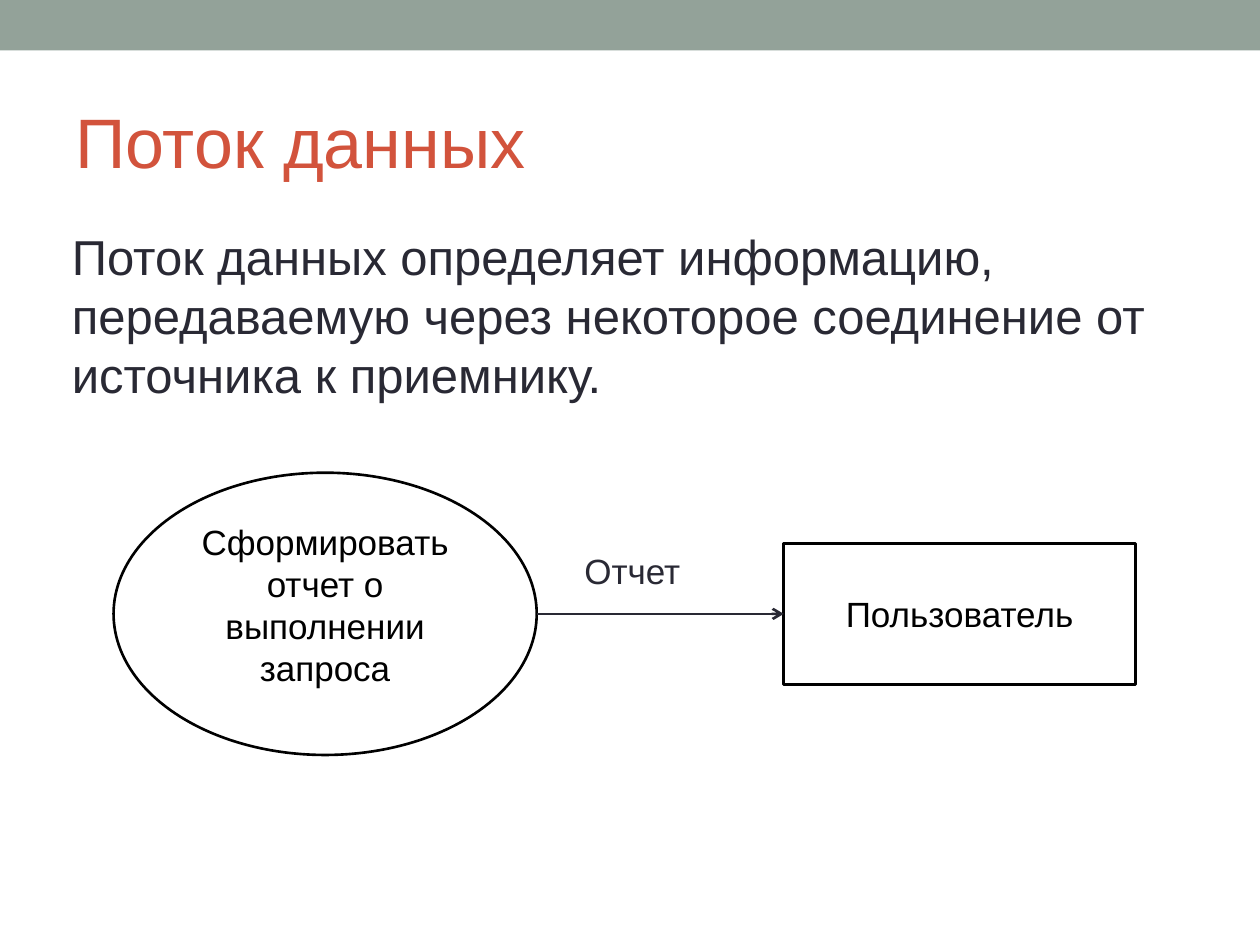
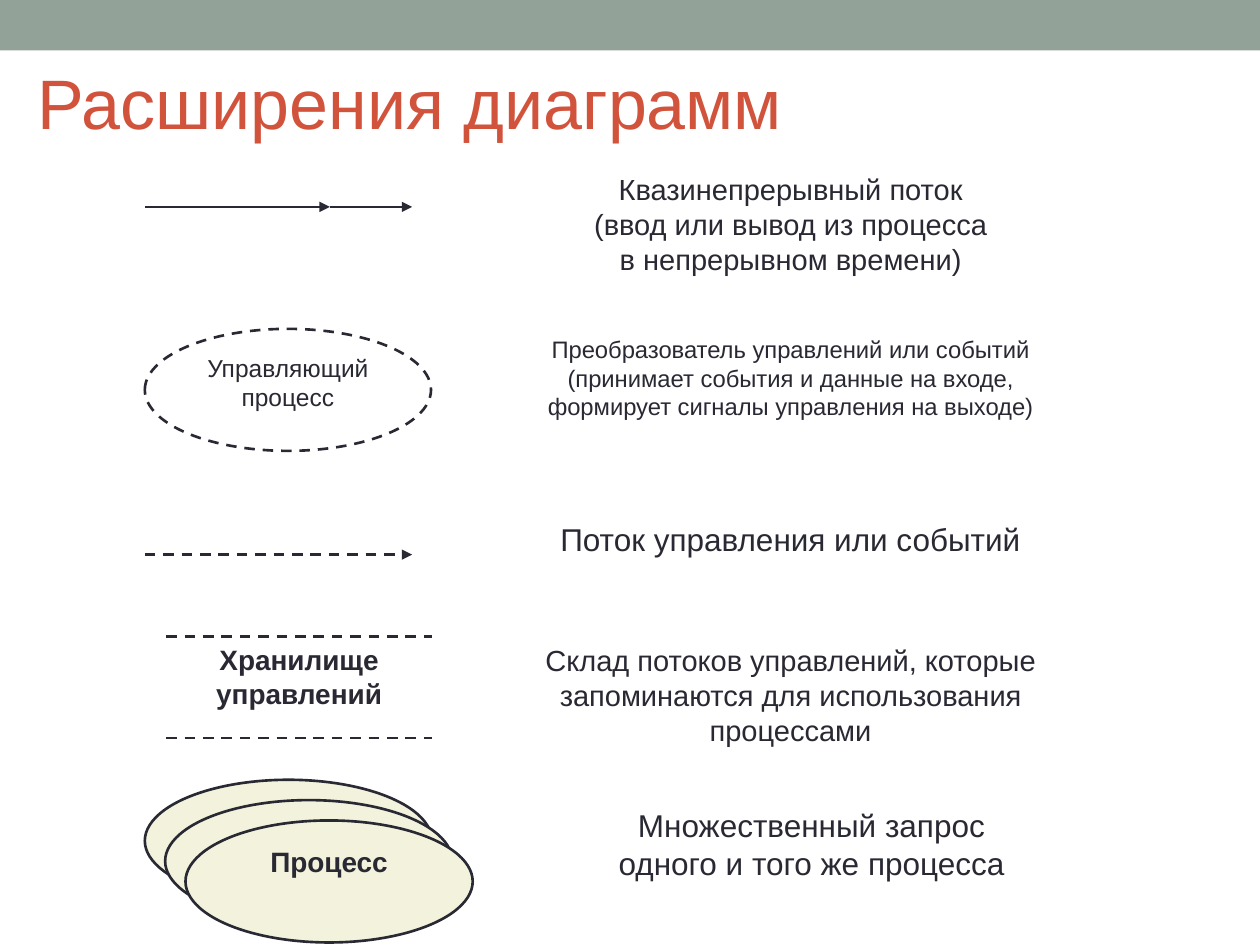
from dataclasses import dataclass

from lxml.etree import SubElement
from pptx import Presentation
from pptx.dml.color import RGBColor
from pptx.enum.dml import MSO_LINE_DASH_STYLE as Dash
from pptx.enum.shapes import MSO_CONNECTOR as Connector, MSO_SHAPE as Preset
from pptx.enum.text import MSO_ANCHOR as Anchor, PP_ALIGN as Align
from pptx.oxml.ns import qn
from pptx.util import Cm, Pt


@dataclass(frozen=True)
class Theme:
    font: str = "Arial"
    band: str = "93A299"
    title: str = "D2533C"
    ink: str = "292934"
    black: str = "000000"
    white: str = "FFFFFF"
    cream: str = "F3F2DC"
    title_size: float = 40
    body_size: float = 28
    diagram_size: float = 20
    large_size: float = 18
    medium_size: float = 16.6
    store_size: float = 16
    process_size: float = 14
    small_size: float = 13.6
    line_width: float = 1.5


@dataclass(frozen=True)
class Box:
    """A rectangle in centimetres."""
    left: float
    top: float
    width: float
    height: float

    def inner(self, left, top, width, height):
        """Return a box whose position is measured from this one's corner."""
        return Box(self.left + left, self.top + top, width, height)

    def lengths(self):
        return [Cm(value) for value in (self.left, self.top, self.width, self.height)]


THEME = Theme()
SLIDE = Box(0, 0, 25.4, 19.05)


def rgb(color):
    return RGBColor.from_string(color)


def write(shape, text, size, color=THEME.ink, align=Align.CENTER,
          anchor=Anchor.TOP, bold=False):
    """Fill a shape with text, one paragraph for each line of the string."""
    frame = shape.text_frame
    frame.word_wrap = True
    frame.vertical_anchor = anchor
    frame.text = text
    for paragraph in frame.paragraphs:
        paragraph.alignment = align
        font = paragraph.font
        font.name, font.size, font.bold = THEME.font, Pt(size), bold
        font.color.rgb = rgb(color)
    return frame


def add_text(slide, box, text, size, **style):
    return write(slide.shapes.add_textbox(*box.lengths()), text, size, **style)


def style_line(line, color, dash):
    line.color.rgb = rgb(color)
    line.width = Pt(THEME.line_width)
    if dash:
        line.dash_style = dash


def add_outline(slide, preset, box, fill=None, line=THEME.ink, dash=None):
    """Add a preset shape; fill or line may be None."""
    shape = slide.shapes.add_shape(preset, *box.lengths())
    shape.shadow.inherit = False
    if fill:
        shape.fill.solid()
        shape.fill.fore_color.rgb = rgb(fill)
    else:
        shape.fill.background()
    if line:
        style_line(shape.line, line, dash)
    else:
        shape.line.fill.background()
    return shape


def add_flow(slide, left, right, y, head=None, dash=None):
    """Add a horizontal line, with an arrowhead of the given type at its right end."""
    flow = slide.shapes.add_connector(
        Connector.STRAIGHT, Cm(left), Cm(y), Cm(right), Cm(y))
    style_line(flow.line, THEME.ink, dash)
    properties = flow._element.spPr
    if head:
        SubElement(properties.find(qn("a:ln")), qn("a:tailEnd"), type=head)
    SubElement(properties, qn("a:effectLst"))


def add_titled_slide(presentation, title, box):
    slide = presentation.slides.add_slide(presentation.slide_layouts[6])
    band = Box(0, 0, SLIDE.width, 1.02)
    add_outline(slide, Preset.RECTANGLE, band, THEME.band, line=None)
    add_text(slide, box, title, THEME.title_size, color=THEME.title,
             align=Align.LEFT, anchor=Anchor.MIDDLE)
    return slide


def add_definition(slide, box, text):
    frame = add_text(slide, box, text, THEME.body_size, align=Align.LEFT)
    frame.margin_left = Cm(0.76)
    frame.paragraphs[0].space_before = Pt(7)


def add_report_flow(slide, box):
    """Draw the process, the receiver and the data flow between them."""
    process = box.inner(0, 0, 8.53, box.height)
    receiver = box.inner(13.51, box.height / 4, 7.09, box.height / 2)
    nodes = (
        (Preset.OVAL, process, "Сформировать отчет о выполнении запроса", Anchor.TOP),
        (Preset.RECTANGLE, receiver, "Пользователь", Anchor.MIDDLE),
    )
    for preset, place, text, anchor in nodes:
        node = add_outline(slide, preset, place, THEME.white, THEME.black)
        write(node, text, THEME.diagram_size, color=THEME.black, anchor=anchor)
    add_flow(slide, process.left + process.width, receiver.left,
             box.top + box.height / 2, "arrow")
    add_text(slide, box.inner(9.24, box.height / 4, 4.27, 2.13), "Отчет",
             THEME.diagram_size, align=Align.LEFT)


def add_continuous_flow(slide, box):
    middle = box.left + 3.73
    add_flow(slide, box.left, middle, box.top, "triangle")
    add_flow(slide, middle, box.left + box.width, box.top, "triangle")


def add_control_process(slide, box):
    process = add_outline(slide, Preset.OVAL, box, dash=Dash.DASH)
    write(process, "Управляющий процесс", THEME.process_size)


def add_control_flow(slide, box):
    add_flow(slide, box.left, box.left + box.width, box.top, "triangle", Dash.DASH)


def add_control_store(slide, box):
    add_text(slide, box.inner(0, 0, box.width, 1.65), "Хранилище управлений",
             THEME.store_size, bold=True)
    for y in (box.top, box.top + box.height):
        add_flow(slide, box.left, box.left + box.width, y, dash=Dash.DASH)


def add_process_stack(slide, box, count=3, step=0.41):
    for index in range(count):
        place = box.inner(index * step, index * step, 5.79, 2.46)
        process = add_outline(slide, Preset.OVAL, place, THEME.cream)
    write(process, "Процесс", THEME.store_size, bold=True)


def add_symbols(slide, box):
    symbols = (
        (add_continuous_flow, (0, 0.84, 5.39, 0)),
        (add_control_process, (0, 3.3, 5.77, 2.46)),
        (add_control_flow, (0, 7.85, 5.39, 0)),
        (add_control_store, (0.43, 9.5, 5.36, 2.05)),
        (add_process_stack, (0, 12.39, 6.61, 3.28)),
    )
    for draw, place in symbols:
        draw(slide, box.inner(*place))


def add_descriptions(slide, box):
    descriptions = (
        (0, 0, "Квазинепрерывный поток\n(ввод или вывод из процесса\n"
               "в непрерывном времени)", THEME.medium_size),
        (0, 3.3, "Преобразователь управлений или событий (принимает события и "
                 "данные на входе, формирует сигналы управления на выходе)",
         THEME.small_size),
        (0, 7.03, "Поток управления или событий", THEME.large_size),
        (0, 9.5, "Склад потоков управлений, которые запоминаются для "
                 "использования процессами", THEME.medium_size),
        (1.25, 12.8, "Множественный запрос одного и того же процесса",
         THEME.large_size),
    )
    for left, top, text, size in descriptions:
        width = box.width - 1.32 * left
        add_text(slide, box.inner(left, top, width, 2.46), text, size)


def build_data_flow_slide(presentation):
    slide = add_titled_slide(presentation, "Поток данных",
                             Box(1.27, 1.47, 22.86, 2.74))
    add_definition(slide, Box(0.69, 4.45, 24, 4.09),
                   "Поток данных определяет информацию, передаваемую через "
                   "некоторое соединение от источника к приемнику.")
    add_report_flow(slide, Box(2.29, 9.53, 20.6, 5.69))


def build_extensions_slide(presentation):
    slide = add_titled_slide(presentation, "Расширения диаграмм",
                             Box(0.51, 0.76, 24.41, 2.57))
    add_symbols(slide, Box(2.92, 3.33, 6.61, 15.67))
    add_descriptions(slide, Box(10.36, 3.33, 11.15, 15.26))


def main():
    presentation = Presentation()
    presentation.slide_width = Cm(SLIDE.width)
    presentation.slide_height = Cm(SLIDE.height)
    build_data_flow_slide(presentation)
    build_extensions_slide(presentation)
    presentation.save("out.pptx")


if __name__ == "__main__":
    main()
